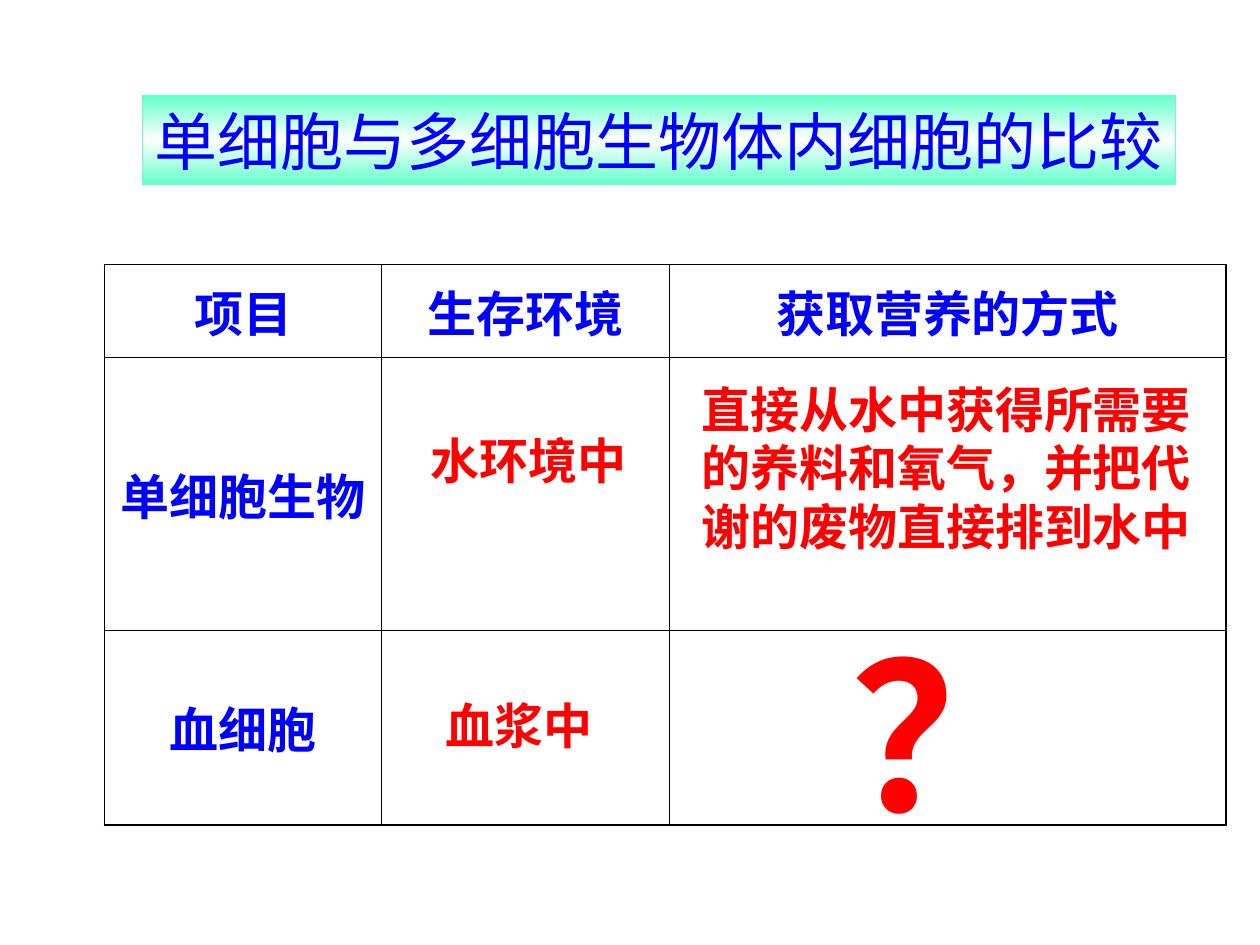
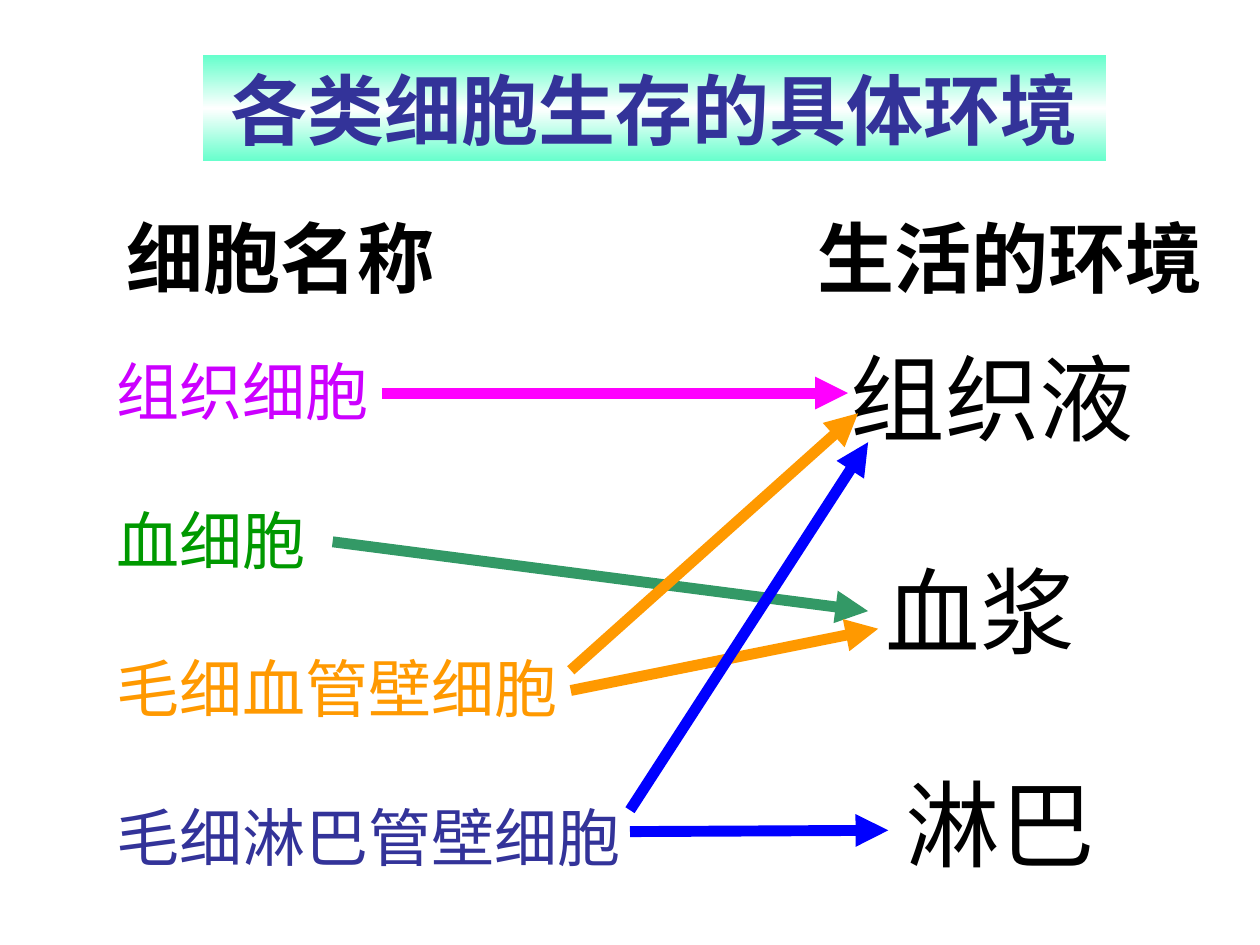
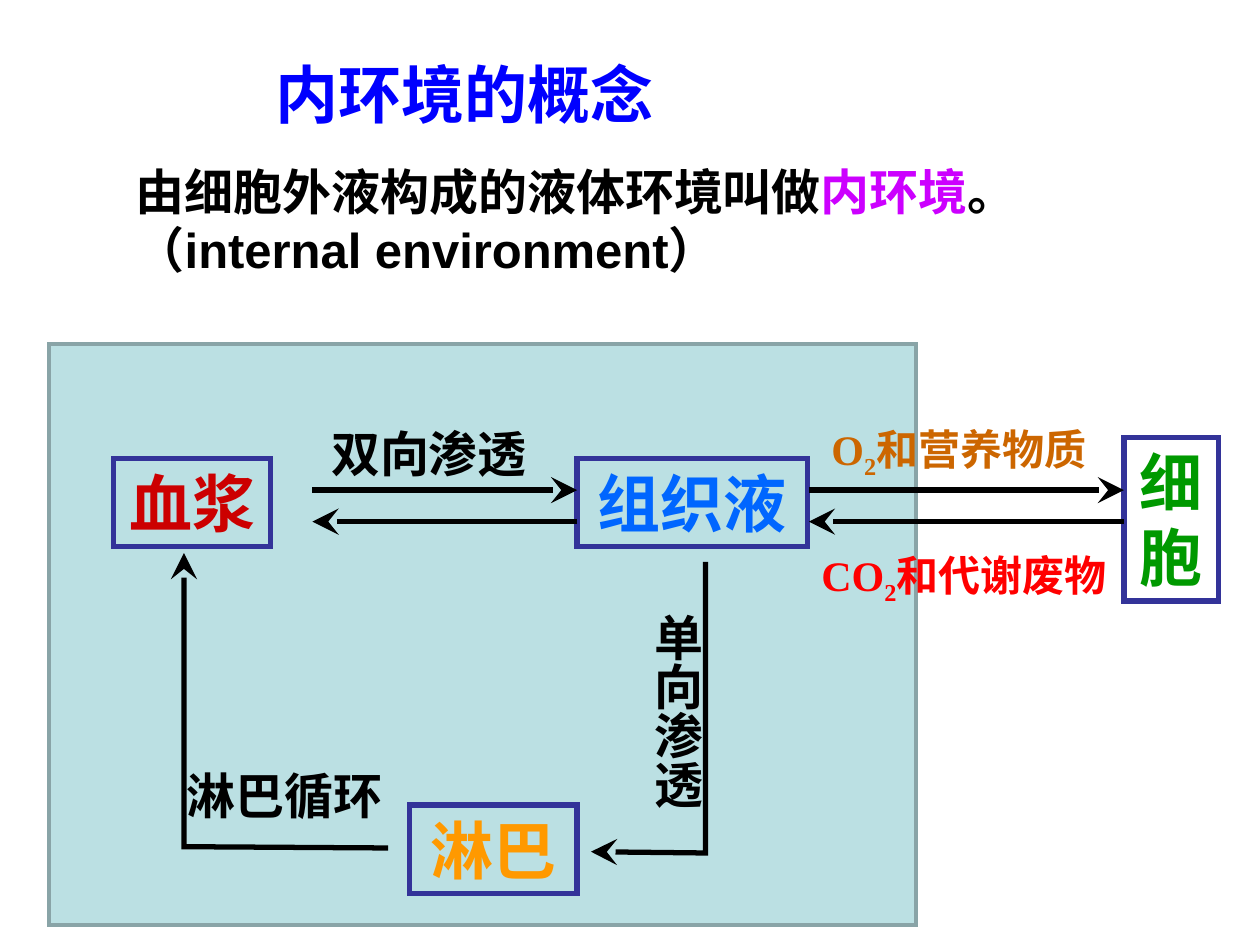
from copy import deepcopy
from dataclasses import dataclass

from lxml import etree
from pptx import Presentation
from pptx.dml.color import RGBColor
from pptx.enum.shapes import MSO_CONNECTOR, MSO_SHAPE
from pptx.enum.text import MSO_ANCHOR, MSO_AUTO_SIZE, PP_ALIGN
from pptx.oxml.ns import qn
from pptx.util import Inches, Pt

RECTANGLE = MSO_SHAPE.RECTANGLE
STRAIGHT = MSO_CONNECTOR.STRAIGHT
TOP, MIDDLE = MSO_ANCHOR.TOP, MSO_ANCHOR.MIDDLE
GROW, FIXED = MSO_AUTO_SIZE.SHAPE_TO_FIT_TEXT, MSO_AUTO_SIZE.NONE
LEFT, CENTER = PP_ALIGN.LEFT, PP_ALIGN.CENTER
TITLE_ONLY = 5


@dataclass(frozen=True)
class Theme:
    sans: str = "Arial"
    serif: str = "Times New Roman"
    black: str = "000000"
    white: str = "FFFFFF"
    blue: str = "0000FF"
    indigo: str = "333399"
    sky: str = "0066FF"
    red: str = "FF0000"
    crimson: str = "CC0000"
    purple: str = "CC00FF"
    magenta: str = "FF00FF"
    green: str = "009900"
    sea: str = "339966"
    orange: str = "FF9900"
    brown: str = "CC6600"
    mint: str = "66FFCC"
    panel: str = "BBE0E3"
    panel_edge: str = "89A4A7"
    small: int = 24
    body: int = 28
    large: int = 36
    heading: int = 44
    display: int = 54
    giant: int = 117


THEME = Theme()


@dataclass(frozen=True)
class Box:
    x: float
    y: float
    w: float
    h: float

    def inner(self, dx, dy, w, h):
        return Box(self.x + dx, self.y + dy, w, h)

    def point(self, dx, dy):
        return Inches(self.x + dx), Inches(self.y + dy)

    def lengths(self):
        return [Inches(v) for v in (self.x, self.y, self.w, self.h)]


def rgb(value):
    return RGBColor.from_string(value)


def set_all(target, values):
    for name, value in values.items():
        setattr(target, name, value)


def add_run(paragraph, text, color, size, bold=False, font=THEME.sans, baseline=0):
    run = paragraph.add_run()
    run.text = text
    set_all(run.font, {"name": font, "size": Pt(size), "bold": bold})
    run.font.color.rgb = rgb(color)
    if baseline:
        run.font._element.set("baseline", str(baseline * 1000))


def frame_text(shape, wrap=True, align=LEFT, anchor=TOP, auto_size=GROW):
    """Format the text frame and return its first paragraph."""
    set_all(shape.text_frame, {"word_wrap": wrap, "vertical_anchor": anchor,
                               "auto_size": auto_size})
    paragraph = shape.text_frame.paragraphs[0]
    paragraph.alignment = align
    return paragraph


def text_box(slide, box, wrap=True):
    return frame_text(slide.shapes.add_textbox(*box.lengths()), wrap)


def fitted(box, dx, dy, text, size):
    """Box around one line of full-width characters, with a little slack."""
    return box.inner(dx, dy, round(len(text) * size / 72 + 0.22, 2),
                     round(size / 60 + 0.1, 2))


def label(slide, box, dx, dy, text, color, size, bold=False):
    paragraph = text_box(slide, fitted(box, dx, dy, text, size), wrap=False)
    add_run(paragraph, text, color, size, bold)


def outline(shape, color, width):
    """Line with mitred corners."""
    shape.line.color.rgb = rgb(color)
    shape.line.width = Pt(width)
    etree.SubElement(shape.line._get_or_add_ln(), qn("a:miter"), lim="800000")


def add_arrowhead(shape, head, scale="med"):
    etree.SubElement(shape.line._get_or_add_ln(), qn("a:tailEnd"),
                     type=head, w=scale, len=scale)


def arrow(slide, box, start, end, color, width, head, scale="med"):
    connector = slide.shapes.add_connector(STRAIGHT, *box.point(*start), *box.point(*end))
    outline(connector, color, width)
    add_arrowhead(connector, head, scale)
    etree.SubElement(connector._element.spPr, qn("a:effectLst"))


def bent_arrow(slide, box, points):
    start, *rest = [box.point(*p) for p in points]
    builder = slide.shapes.build_freeform(*start)
    builder.add_line_segments(rest, close=False)
    route = builder.convert_to_shape()
    route.fill.background()
    route.shadow.inherit = False
    outline(route, THEME.black, 3)
    add_arrowhead(route, "stealth", "lg")


def rectangle(slide, box, edge, width):
    shape = slide.shapes.add_shape(RECTANGLE, *box.lengths())
    shape.shadow.inherit = False
    shape.fill.background()
    outline(shape, edge, width)
    return shape


def mint_band(shape):
    """Fill with a vertical mint-white-mint gradient."""
    shape.fill.gradient()
    shape.fill.gradient_angle = 90
    stop_list = shape._element.spPr.find(qn("a:gradFill")).find(qn("a:gsLst"))
    stop_list.insert(1, deepcopy(stop_list[0]))
    colors = (THEME.mint, THEME.white, THEME.mint)
    for i, (stop, color) in enumerate(zip(shape.fill.gradient_stops, colors)):
        stop.position = i / 2
        stop.color.rgb = rgb(color)


def titled_slide(prs, box, text, color, size, bold=True, band=False):
    slide = prs.slides.add_slide(prs.slide_layouts[TITLE_ONLY])
    title = slide.shapes.title
    set_all(title, dict(zip(("left", "top", "width", "height"), box.lengths())))
    paragraph = frame_text(title, False, CENTER, MIDDLE, FIXED)
    set_all(title.text_frame, {"margin_left": Inches(0.05), "margin_right": Inches(0.05)})
    add_run(paragraph, text, color, size, bold)
    if band:
        mint_band(title)
    return slide


def cell_borders(cell, widths):
    properties = cell._tc.get_or_add_tcPr()
    for side, width in widths.items():
        line = etree.SubElement(properties, qn(f"a:ln{side}"), w=str(Pt(width)))
        fill = etree.SubElement(line, qn("a:solidFill"))
        etree.SubElement(fill, qn("a:srgbClr"), val=THEME.black)


def comparison_table(slide, box):
    thick, thin = 1.08, 0.45
    widths, heights = (2.2, 2.28, 4.42), (0.74, 2.16, 1.55)
    rows = (("项目", "生存环境", "获取营养的方式"),
            ("单细胞生物", "", ""),
            ("血细胞", "", ""))
    table = slide.shapes.add_table(3, 3, *box.lengths()).table
    set_all(table, {"first_row": False, "horz_banding": False})
    for column, width in zip(table.columns, widths):
        column.width = Inches(width)
    for r, (texts, height) in enumerate(zip(rows, heights)):
        table.rows[r].height = Inches(height)
        for c, text in enumerate(texts):
            cell = table.cell(r, c)
            cell_borders(cell, {"L": thin if c else thick,
                                "R": thick if c == 2 else thin,
                                "T": thin if r else thick,
                                "B": thick if r == 2 else thin})
            cell.fill.background()
            cell.vertical_anchor = MIDDLE
            if text:
                paragraph = cell.text_frame.paragraphs[0]
                paragraph.alignment = CENTER
                add_run(paragraph, text, THEME.blue, THEME.body, True)


def comparison_answers(slide, box):
    for dx, dy, text, size in ((2.49, 1.27, "水环境中", THEME.body),
                               (2.61, 3.37, "血浆中", THEME.body),
                               (5.82, 2.67, "？", THEME.giant)):
        label(slide, box, dx, dy, text, THEME.red, size, True)
    nutrition = text_box(slide, box.inner(4.64, 0.86, 4.1, 1.5))
    add_run(nutrition, "直接从水中获得所需要的养料和氧气，并把代谢的废物直接排到水中",
            THEME.red, THEME.body, True)


def comparison_slide(prs):
    slide = titled_slide(prs, Box(1.13, 0.76, 8.2, 0.7), "单细胞与多细胞生物体内细胞的比较",
                         THEME.blue, THEME.large, bold=False, band=True)
    outline(slide.shapes.title, THEME.mint, 0.75)
    box = Box(0.83, 2.1, 8.9, 4.45)
    comparison_table(slide, box)
    comparison_answers(slide, box)


def matching_diagram(slide, box):
    cells = (("组织细胞", THEME.purple), ("血细胞", THEME.green),
             ("毛细血管壁细胞", THEME.orange), ("毛细淋巴管壁细胞", THEME.indigo))
    for i, (name, color) in enumerate(cells):
        label(slide, box, 0, 0.1 + 1.18 * i, name, color, THEME.large)

    environments = (("组织液", 2.73), ("血浆", 2.18), ("淋巴", 1.86))
    center = 7.19
    for i, (name, width) in enumerate(environments):
        paragraph = text_box(slide, box.inner(center - width / 2, 1.69 * i, width, 1))
        add_run(paragraph, name, THEME.black, THEME.display)

    links = (((2.2, 0.47), (5.9, 0.47), THEME.magenta),
             ((1.81, 1.65), (6.06, 2.2), THEME.sea),
             ((3.7, 2.67), (5.98, 0.63), THEME.orange),
             ((3.7, 2.83), (6.14, 2.34), THEME.orange),
             ((4.17, 3.95), (6.22, 3.94), THEME.blue),
             ((4.17, 3.78), (6.06, 0.86), THEME.blue))
    for start, end, color in links:
        arrow(slide, box, start, end, color, 6.25, "triangle")


def environment_slide(prs):
    slide = titled_slide(prs, Box(1.61, 0.44, 7.17, 0.84), "各类细胞生存的具体环境",
                         THEME.indigo, THEME.heading, band=True)
    headings = Box(0.91, 1.62, 8.74, 0.84)
    for dx, text in ((0, "细胞名称"), (5.48, "生活的环境")):
        label(slide, headings, dx, 0, text, THEME.black, THEME.heading, True)
    matching_diagram(slide, Box(0.83, 2.65, 8.55, 4.38))


def definition(slide, box):
    paragraph = text_box(slide, box)
    for text, color in (("由细胞外液构成的液体环境叫做", THEME.black),
                        ("内环境", THEME.purple), ("。", THEME.black)):
        add_run(paragraph, text, color, THEME.body, True)
    english = slide.shapes[-1].text_frame.add_paragraph()
    add_run(english, "（internal environment）", THEME.black, THEME.body, True)


def exchange_nodes(slide, box):
    panel = rectangle(slide, box.inner(0, 0, 6.88, box.h), THEME.panel_edge, 2)
    panel.fill.solid()
    panel.fill.fore_color.rgb = rgb(THEME.panel)
    nodes = (("血浆", THEME.crimson, (0.51, 0.91, 1.25, 0.7)),
             ("组织液", THEME.sky, (4.19, 0.91, 1.83, 0.7)),
             ("淋巴", THEME.orange, (2.86, 3.66, 1.33, 0.7)),
             ("细胞", THEME.green, (8.53, 0.74, 0.75, 1.3)))
    for name, color, place in nodes:
        node = rectangle(slide, box.inner(*place), THEME.indigo, 3)
        add_run(frame_text(node, align=CENTER), name, color, THEME.large, True, THEME.serif)


def exchange_arrows(slide, box):
    outward, inward = 1.16, 1.41
    for left, right in ((2.09, 4.19), (6.03, 8.53)):
        for start, end, y in ((left, right, outward), (right, left, inward)):
            arrow(slide, box, (start, y), (end, y), THEME.black, 3, "stealth", "lg")
    bent_arrow(slide, box, ((2.69, 4), (1.07, 3.99), (1.07, 1.66)))
    bent_arrow(slide, box, ((5.21, 1.73), (5.21, 4.04), (4.3, 4.03)))


def exchange_labels(slide, box):
    for text, place in (("双向渗透", (2.14, 0.58, 2, 0.57)),
                        ("淋巴循环", (0.99, 3.3, 2.07, 0.57)),
                        ("单向渗透", (4.61, 2.04, 0.66, 1.83))):
        add_run(text_box(slide, box.inner(*place)), text, THEME.black,
                THEME.body, True, THEME.serif)
    one_way = slide.shapes[-1].text_frame
    one_way._txBody.bodyPr.set("vert", "eaVert")
    set_all(one_way, {"margin_left": Inches(0.05), "margin_right": Inches(0.05),
                      "margin_top": Inches(0.1), "margin_bottom": Inches(0.1)})

    for gas, rest, color, place in (
            ("O", "和营养物质", THEME.brown, (6.11, 0.58, 2.33, 0.56)),
            ("CO", "和代谢废物", THEME.red, (6.03, 1.58, 2.58, 0.56))):
        paragraph = text_box(slide, box.inner(*place))
        for text, baseline in ((gas, 0), ("2", -25), (rest, 0)):
            add_run(paragraph, text, color, THEME.small, True, THEME.serif, baseline)


def concept_slide(prs):
    slide = titled_slide(prs, Box(2.09, 0.39, 3.2, 0.7), "内环境的概念",
                         THEME.blue, THEME.large)
    definition(slide, Box(0.98, 1.23, 7.56, 1.04))
    exchange = Box(0.39, 2.73, 9.28, 4.61)
    exchange_nodes(slide, exchange)
    exchange_arrows(slide, exchange)
    exchange_labels(slide, exchange)


def main():
    prs = Presentation()
    prs.slide_width, prs.slide_height = Inches(10), Inches(7.5)
    comparison_slide(prs)
    environment_slide(prs)
    concept_slide(prs)
    prs.save("out.pptx")


if __name__ == "__main__":
    main()
